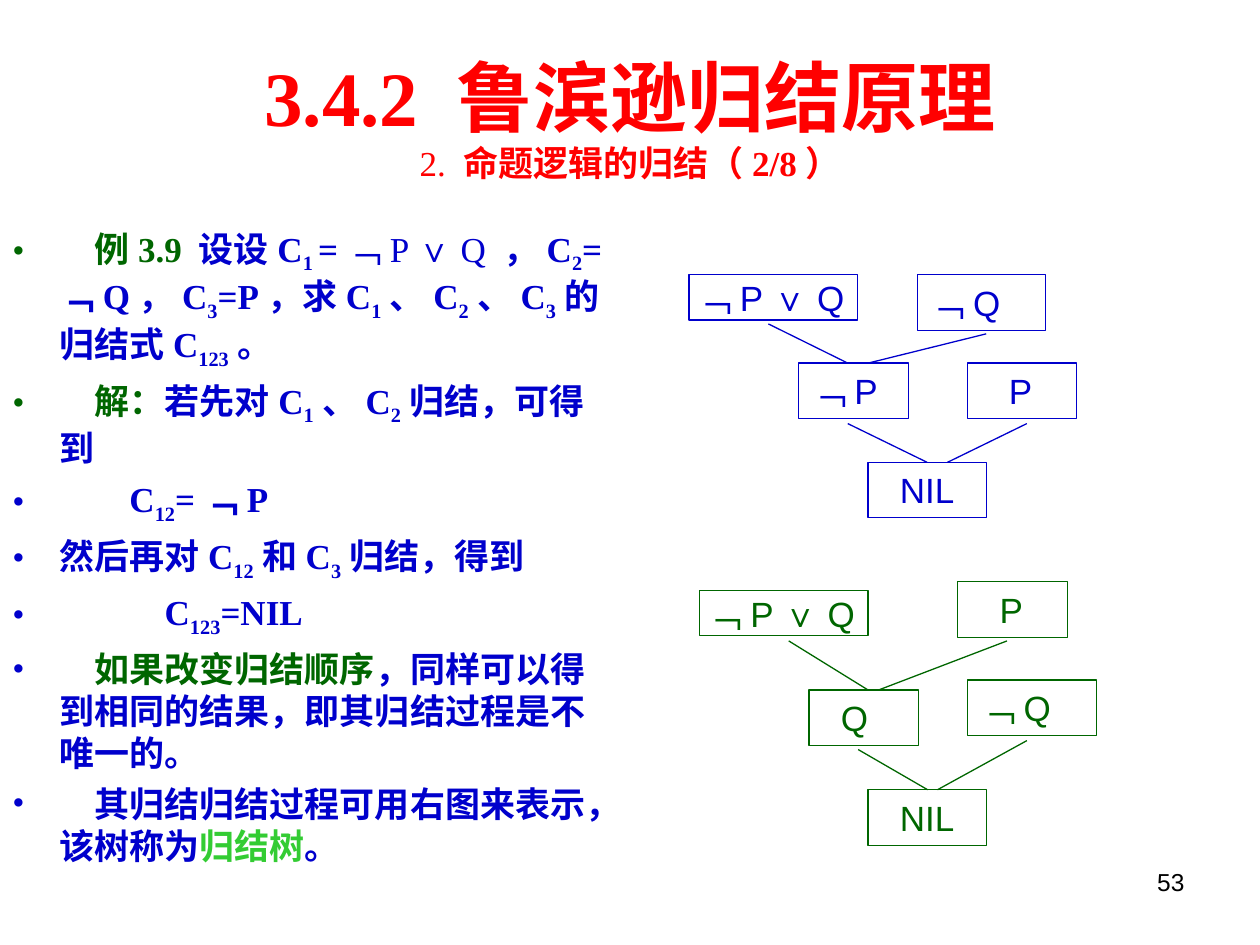
from dataclasses import dataclass

from lxml.etree import SubElement
from pptx import Presentation
from pptx.dml.color import RGBColor
from pptx.enum.shapes import MSO_CONNECTOR as Link, MSO_SHAPE as Preset
from pptx.enum.text import MSO_ANCHOR as Anchor, MSO_AUTO_SIZE as Fit, PP_ALIGN as Align
from pptx.oxml.ns import qn
from pptx.util import Cm, Pt


@dataclass(frozen=True)
class Theme:
    red: str = "FF0000"
    blue: str = "0000CC"
    green: str = "006600"
    lime: str = "33CC33"
    black: str = "000000"
    serif: str = "Times New Roman"
    sans: str = "Arial"
    chinese: str = "Noto Sans CJK SC"
    title: float = 44
    body: float = 20
    number: float = 14
    line: float = 0.74


THEME = Theme()

STYLES = {
    "blue": dict(color=THEME.blue),
    "green": dict(color=THEME.green),
    "lime": dict(color=THEME.lime),
    "thin": dict(color=THEME.blue, bold=False),
    "sub": dict(color=THEME.blue, baseline=-25000),
}

BODY = [
    (0.95, THEME.green, [
        ("green", "\u3000例3.9 "), ("blue", "设设C"), ("sub", "1 "), ("blue", "="),
        ("thin", "﹁P "), ("blue", "∨"), ("thin", " Q "), ("blue", "，C"),
        ("sub", "2"), ("blue", "=﹁Q，C"), ("sub", "3"), ("blue", "=P，求C"),
        ("sub", "1"), ("blue", "、C"), ("sub", "2"), ("blue", "、C"), ("sub", "3"),
        ("blue", "的归结式C"), ("sub", "123"), ("blue", "。")]),
    (0.95, THEME.green, [
        ("green", "\u3000解："), ("blue", "若先对C"), ("sub", "1"), ("blue", "、C"),
        ("sub", "2"), ("blue", "归结，可得到")]),
    (2.36, THEME.blue, [("blue", "C"), ("sub", "12"), ("blue", "=﹁P")]),
    (0.95, THEME.blue, [
        ("blue", "然后再对C"), ("sub", "12"), ("blue", "和C"), ("sub", "3"),
        ("blue", "归结，得到")]),
    (3.07, THEME.blue, [("blue", "C"), ("sub", "123"), ("blue", "=NIL")]),
    (0.95, THEME.blue, [
        ("green", "\u3000如果改变归结顺序"),
        ("blue", "，同样可以得到相同的结果，即其归结过程是不唯一的。")]),
    (0.95, THEME.blue, [
        ("blue", "\u3000其归结归结过程可用右图来表示，该树称为"), ("lime", "归结树"),
        ("blue", "。")]),
]

NOT = ("﹁", THEME.chinese, False)
CLAUSES = {
    "not P or Q": (3.4, 0.91, 0.15, 0.03, [
        NOT, ("P ", THEME.sans, False), ("∨", THEME.sans, True), (" Q", THEME.sans, False)]),
    "not Q": (2.59, 1.12, 0.25, 0.13, [NOT, ("Q", THEME.sans, False)]),
    "not P": (2.21, 1.12, 0.25, 0.13, [NOT, ("P", THEME.sans, False)]),
    "P": (2.21, 1.12, 0.84, 0.13, [("P", THEME.sans, False)]),
    "Q": (2.21, 1.12, 0.64, 0.13, [("Q", THEME.sans, False)]),
    "NIL": (2.39, 1.12, 0.64, 0.13, [("NIL", THEME.sans, False)]),
}

TREES = [
    (13.89, 5.54, THEME.blue,
     [("not P or Q", 0, 0), ("not Q", 4.6, 0), ("not P", 2.21, 1.78),
      ("P", 5.61, 1.78), ("NIL", 3.61, 3.78)],
     [(1.6, 0.99, 3.2, 1.78), (5.99, 1.19, 3.61, 1.78),
      (3.2, 3, 4.8, 3.78), (6.81, 3, 5.21, 3.78)]),
    (14.1, 11.73, THEME.green,
     [("not P or Q", 0, 0.18), ("P", 5.21, 0), ("Q", 2.21, 2.18),
      ("not Q", 5.41, 1.98), ("NIL", 3.4, 4.19)],
     [(1.8, 1.19, 3.4, 2.18), (6.2, 1.19, 3.61, 2.18),
      (3.2, 3.38, 4.6, 4.19), (6.6, 3.2, 4.8, 4.19)]),
]


def add_span(para, text, color, size=THEME.body, font=THEME.serif, bold=True, baseline=0):
    span = para.add_run()
    span.text = text
    span.font.name = font
    span.font.size = Pt(size)
    span.font.bold = bold
    span.font.color.rgb = RGBColor.from_string(color)
    props = span._r.get_or_add_rPr()
    SubElement(props, qn("a:ea")).set("typeface", THEME.chinese)
    if baseline:
        props.set("baseline", str(baseline))


def set_frame(frame, anchor=Anchor.TOP, left=0.25, top=0.13):
    frame.word_wrap = True
    frame.auto_size = Fit.NONE
    frame.vertical_anchor = anchor
    frame.margin_left = frame.margin_right = Cm(left)
    frame.margin_top = frame.margin_bottom = Cm(top)


def set_bullet(para, indent, color):
    props = para._p.get_or_add_pPr()
    props.set("marL", str(Cm(indent)))
    props.set("indent", str(-Cm(indent)))
    tint = SubElement(props, qn("a:buClr"))
    SubElement(tint, qn("a:srgbClr")).set("val", color)
    SubElement(props, qn("a:buFont")).set("typeface", THEME.serif)
    SubElement(props, qn("a:buChar")).set("char", "•")


def write_title(page, left, top, width, height):
    title = page.shapes.title
    title.left, title.top, title.width, title.height = map(Cm, (left, top, width, height))
    set_frame(title.text_frame, Anchor.MIDDLE)
    para = title.text_frame.paragraphs[0]
    para.alignment = Align.CENTER
    para.line_spacing = 1.0
    para.space_before = Pt(0)
    add_span(para, "3.4.2 鲁滨逊归结原理", THEME.red, THEME.title)
    para.add_line_break()
    add_span(para, "2. ", THEME.red, bold=False)
    add_span(para, "命题逻辑的归结（2/8）", THEME.red)


def write_body(page, left, top, width, height):
    frame = page.shapes.add_textbox(*map(Cm, (left, top, width, height))).text_frame
    set_frame(frame)
    for index, (indent, color, spans) in enumerate(BODY):
        para = frame.add_paragraph() if index else frame.paragraphs[0]
        para.line_spacing = 1.0
        para.space_before = Pt(5)
        set_bullet(para, indent, color)
        for style, text in spans:
            add_span(para, text, **STYLES[style])


def add_clause(page, clause, left, top, color):
    width, height, inset, margin, spans = CLAUSES[clause]
    box = page.shapes.add_shape(Preset.RECTANGLE, *map(Cm, (left, top, width, height)))
    box.shadow.inherit = False
    box.fill.background()
    box.line.color.rgb = RGBColor.from_string(color)
    box.line.width = Pt(THEME.line)
    set_frame(box.text_frame, left=inset, top=margin)
    box.text_frame.margin_right = Cm(0.1)
    para = box.text_frame.paragraphs[0]
    para.alignment = Align.LEFT
    for text, font, bold in spans:
        add_span(para, text, color, font=font, bold=bold)


def draw_tree(page, left, top, color, clauses, edges):
    for clause, x, y in clauses:
        add_clause(page, clause, left + x, top + y, color)
    for x1, y1, x2, y2 in edges:
        ends = map(Cm, (left + x1, top + y1, left + x2, top + y2))
        edge = page.shapes.add_connector(Link.STRAIGHT, *ends)
        edge.line.color.rgb = RGBColor.from_string(color)
        edge.line.width = Pt(THEME.line)
        SubElement(edge._element.spPr, qn("a:effectLst"))


def write_number(page, left, top, width, height):
    frame = page.shapes.add_textbox(*map(Cm, (left, top, width, height))).text_frame
    set_frame(frame)
    para = frame.paragraphs[0]
    para.alignment = Align.RIGHT
    add_span(para, "53", THEME.black, THEME.number, THEME.sans, bold=False)


deck = Presentation()
deck.slide_width, deck.slide_height = Cm(25.4), Cm(19.05)
page = deck.slides.add_slide(deck.slide_layouts[5])
write_title(page, 1.27, 0.76, 22.86, 3.18)
write_body(page, 0, 4.45, 12.5, 13.49)
for tree in TREES:
    draw_tree(page, *tree)
write_number(page, 18.21, 17.35, 5.92, 1.32)
deck.save("out.pptx")
